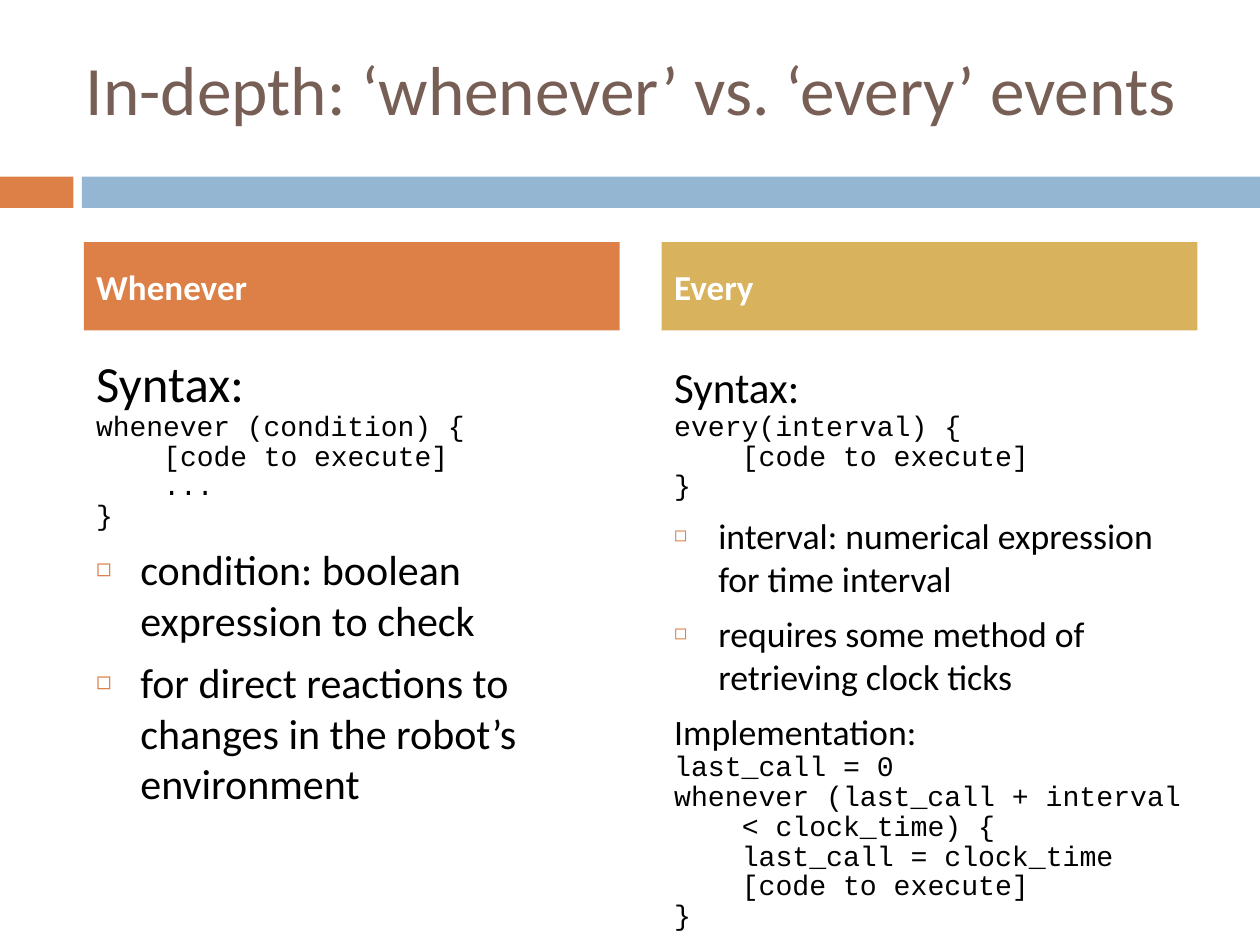
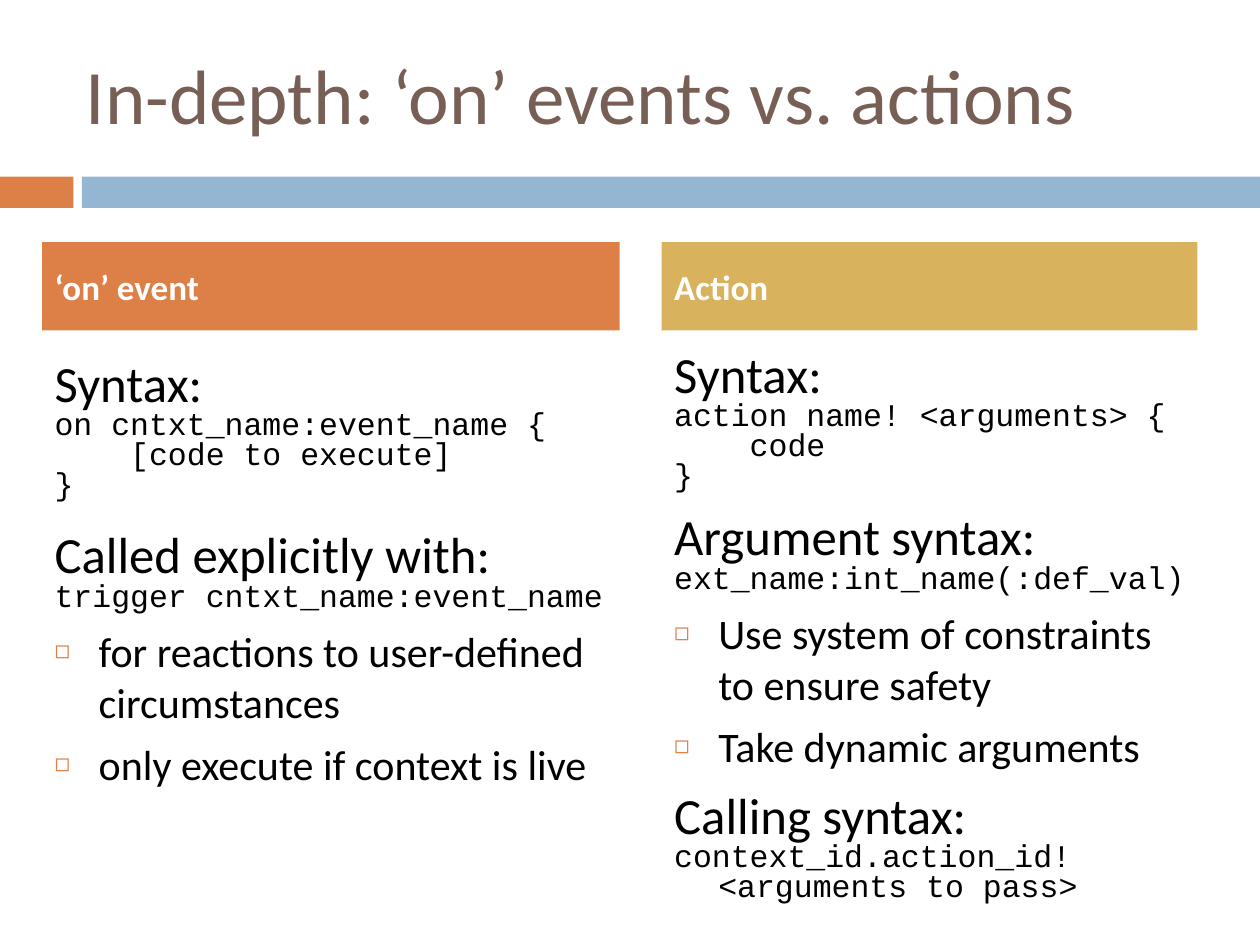
from lxml.etree import SubElement
from pptx import Presentation
from pptx.dml.color import RGBColor
from pptx.enum.shapes import MSO_SHAPE
from pptx.enum.text import MSO_ANCHOR, MSO_AUTO_SIZE, PP_ALIGN
from pptx.oxml.ns import qn
from pptx.util import Cm, Pt

HUES = {"title": "775F55", "left": "DD8047", "right": "D8B25C",
        "band": "94B6D2", "text": "000000", "head": "FFFFFF"}
SANS, MONO = "Calibri", "Courier New"
HANG = Cm(0.89)
TOP = 6.77


def apply(item, form):
    for name, value in form.items():
        setattr(item, name, value)


class Deck:
    def __init__(self):
        self.prs = Presentation()
        apply(self.prs, {"slide_width": Cm(25.4), "slide_height": Cm(19.05)})
        self.slide = None

    def start(self, title, size, pitch=None):
        self.slide = self.prs.slides.add_slide(self.prs.slide_layouts[4])
        self.band(0, 1.48, "left")
        self.band(1.65, 23.75, "band")
        frame = self.place(0, (1.48, 0.76, 22.66, 2.27), MSO_ANCHOR.MIDDLE)
        self.label(frame.paragraphs[0], title, size, "title", line_spacing=pitch)

    def band(self, left, width, hue):
        shape = self.slide.shapes.add_shape(
            MSO_SHAPE.RECTANGLE, Cm(left), Cm(3.56), Cm(width), Cm(0.63))
        shape.shadow.inherit = False
        shape.line.fill.background()
        self.paint(shape, hue)

    def paint(self, shape, hue):
        shape.fill.solid()
        shape.fill.fore_color.rgb = RGBColor.from_string(HUES[hue])

    def place(self, index, box, anchor, hue=None):
        holder = self.slide.placeholders[index]
        apply(holder, dict(zip(("left", "top", "width", "height"), map(Cm, box))))
        if hue:
            self.paint(holder, hue)
        frame = holder.text_frame
        apply(frame, {"word_wrap": True, "auto_size": MSO_AUTO_SIZE.NONE,
                      "vertical_anchor": anchor, "margin_left": Cm(0.25),
                      "margin_right": Cm(0.2), "margin_top": Cm(0.13),
                      "margin_bottom": Cm(0.13)})
        return frame

    def label(self, para, text, size, hue="text", face=SANS, bold=False, **form):
        apply(para, {"alignment": PP_ALIGN.LEFT, **form})
        run = para.add_run()
        run.text = text
        apply(run.font, {"name": face, "size": Pt(size), "bold": bold})
        run.font.color.rgb = RGBColor.from_string(HUES[hue])

    def mark(self, para, margin, indent, dot):
        props = para._p.get_or_add_pPr()
        props.set("marL", str(int(margin)))
        props.set("indent", str(int(indent)))
        if not dot:
            SubElement(props, qn("a:buNone"))
            return
        tint = SubElement(props, qn("a:buClr"))
        SubElement(tint, qn("a:srgbClr"), val=HUES["left"])
        SubElement(props, qn("a:buSzPct"), val="60000")
        SubElement(props, qn("a:buChar"), char="◻")

    def head(self, index, left, width, text, hue):
        frame = self.place(index, (left, 4.88, width, 1.78), MSO_ANCHOR.MIDDLE, hue)
        self.label(frame.paragraphs[0], text, 20, "head", bold=True,
                   space_before=Pt(7))

    def body(self, index, left, width, height, sizes, lines):
        frame = self.place(index, (left, TOP, width, height), MSO_ANCHOR.TOP)
        big, code, small = sizes
        deep = Pt(code * 2.4)
        kinds = {
            "top": (big, SANS, Pt(40), HANG, -HANG),
            "free": (big, SANS, None, HANG, -HANG),
            "note": (small, SANS, None, HANG, -HANG),
            "dot": (small, SANS, None, HANG, -HANG),
            "code": (code, MONO, Pt(10), HANG, -HANG),
            "deep": (code, MONO, Pt(10), deep, 0),
            "tail": (code, MONO, Pt(10), HANG, 0),
        }
        for spot, (kind, text) in enumerate(lines):
            para = frame.add_paragraph() if spot else frame.paragraphs[0]
            size, face, pitch, margin, indent = kinds[kind]
            self.label(para, text, size, face=face, line_spacing=pitch,
                       space_before=Pt(7))
            self.mark(para, margin, indent, kind == "dot")

    def column(self, side, name, sizes, height, lines, left, width=10.8):
        index = {"left": 1, "right": 3}[side]
        self.body(index + 1, left, width, height, sizes, lines)
        self.head(index, left, width, name, side)


def main():
    deck = Deck()
    deck.start("In-depth: ‘whenever’ vs. ‘every’ events", 39.6, Pt(40))
    deck.column("left", "Whenever", (29, 16, 24), 9.96, [
        ("top", "Syntax:"),
        ("code", "whenever (condition) {"),
        ("deep", "[code to execute]"),
        ("deep", "..."),
        ("code", "}"),
        ("dot", "condition: boolean expression to check"),
        ("dot", "for direct reactions to changes in the robot’s environment"),
    ], 1.69)
    deck.column("right", "Every", (24.6, 16.1, 20.4), 11.86, [
        ("top", "Syntax:"),
        ("code", "every(interval) {"),
        ("deep", "[code to execute]"),
        ("code", "}"),
        ("dot", "interval: numerical expression for time interval"),
        ("dot", "requires some method of retrieving clock ticks"),
        ("note", "Implementation:"),
        ("code", "last_call = 0"),
        ("code", "whenever (last_call + interval"),
        ("deep", "< clock_time) {"),
        ("deep", "last_call = clock_time"),
        ("deep", "[code to execute]"),
        ("code", "}"),
    ], 13.34)

    deck.start("In-depth: ‘on’ events vs. actions", 44)
    deck.column("left", "‘on’ event", (29, 18, 24), 9.96, [
        ("top", "Syntax:"),
        ("code", "on cntxt_name:event_name {"),
        ("deep", "[code to execute]"),
        ("code", "}"),
        ("top", "Called explicitly with:"),
        ("code", "trigger cntxt_name:event_name"),
        ("dot", "for reactions to user-defined circumstances"),
        ("dot", "only execute if context is live"),
    ], 0.85, 11.64)
    deck.column("right", "Action", (29, 18, 24), 10.8, [
        ("free", "Syntax:"),
        ("code", "action name! <arguments> {"),
        ("deep", "code"),
        ("code", "}"),
        ("free", "Argument syntax:"),
        ("code", "ext_name:int_name(:def_val)"),
        ("dot", "Use system of constraints to ensure safety"),
        ("dot", "Take dynamic arguments"),
        ("free", "Calling syntax:"),
        ("code", "context_id.action_id!"),
        ("tail", "<arguments to pass>"),
    ], 13.34)
    deck.prs.save("out.pptx")


if __name__ == "__main__":
    main()
